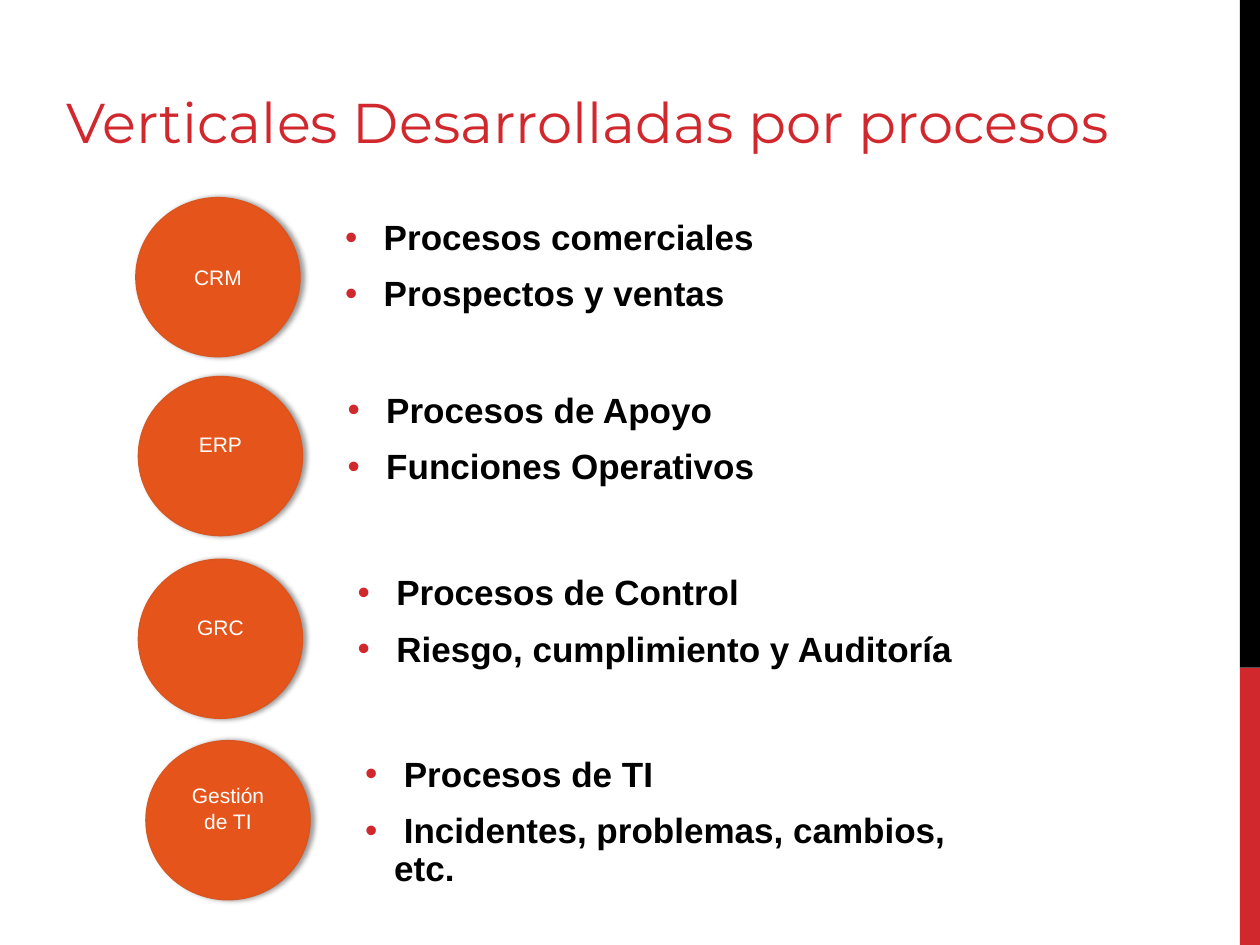
from pptx import Presentation
from pptx.dml.color import RGBColor
from pptx.enum.shapes import MSO_SHAPE
from pptx.enum.text import MSO_ANCHOR, PP_ALIGN
from pptx.oxml import parse_xml
from pptx.oxml.ns import nsdecls, qn
from pptx.util import Inches, Pt

RED = RGBColor(0xD1, 0x28, 0x2E)
BLACK = RGBColor(0x00, 0x00, 0x00)
WHITE = RGBColor(0xFF, 0xFF, 0xFF)
ORANGE = RGBColor(0xE5, 0x55, 0x1B)
RIM = RGBColor(0xDC, 0x55, 0x1F)

LINE_INSET = 0.24
VERTICALS = [
    ("CRM", (1.08, 1.57), (2.64, 1.7, 3.62), 0.05,
     [" Procesos comerciales", " Prospectos y ventas"]),
    ("ERP", (1.1, 2.99), (2.66, 3.07, 3.62), LINE_INSET,
     [" Procesos de Apoyo", " Funciones Operativos"]),
    ("GRC", (1.1, 4.44), (2.74, 4.52, 5.12), LINE_INSET,
     [" Procesos de Control", " Riesgo, cumplimiento y Auditoría"]),
    ("Gestión de TI", (1.16, 5.88), (2.8, 5.96, 5.12), LINE_INSET,
     [" Procesos de TI", " Incidentes, problemas, cambios, etc."]),
]


class SlideBuilder:
    """Draws the elements of one slide in a shared style."""

    def __init__(self, s):
        self.s = s

    def style(self, p, font, size, color, bold=False):
        for r in p.runs:
            r.font.name = font
            r.font.size = Pt(size)
            r.font.bold = bold
            r.font.color.rgb = color

    def bar(self, top, height, color):
        sp = self.s.shapes.add_shape(
            MSO_SHAPE.RECTANGLE, Inches(9.84), Inches(top), Inches(0.16), Inches(height))
        sp.shadow.inherit = False
        sp.fill.solid()
        sp.fill.fore_color.rgb = color
        sp.line.fill.background()

    def title(self, text):
        sp = self.s.shapes.add_textbox(Inches(0.43), Inches(0.21), Inches(8.6), Inches(1.07))
        tf = sp.text_frame
        tf.word_wrap = True
        tf.vertical_anchor = MSO_ANCHOR.BOTTOM
        tf.text = text
        self.style(tf.paragraphs[0], "Montserrat", 32, RED)

    def circle(self, group, text, left, top, bottom_inset):
        sp = group.shapes.add_shape(
            MSO_SHAPE.OVAL, Inches(left), Inches(top), Inches(1.3), Inches(1.26))
        sp.fill.solid()
        sp.fill.fore_color.rgb = ORANGE
        sp.line.color.rgb = RIM
        sp.line.width = Pt(1)
        sp.shadow.inherit = False
        effects = sp._element.spPr.find(qn("a:effectLst"))
        effects.append(parse_xml(
            f'<a:outerShdw {nsdecls("a")} blurRad="{Pt(3.1)}" dist="{Pt(1.8)}" dir="0" '
            'rotWithShape="0"><a:srgbClr val="000000"><a:alpha val="40000"/>'
            '</a:srgbClr></a:outerShdw>'))
        tf = sp.text_frame
        tf.word_wrap = True
        tf.vertical_anchor = MSO_ANCHOR.MIDDLE
        tf.margin_bottom = Inches(bottom_inset)
        tf.text = text
        tf.paragraphs[0].alignment = PP_ALIGN.CENTER
        self.style(tf.paragraphs[0], "Arial", 12, WHITE)

    def bullets(self, group, items, left, top, width):
        sp = group.shapes.add_textbox(Inches(left), Inches(top), Inches(width), Inches(1.1))
        tf = sp.text_frame
        tf.word_wrap = True
        for i, item in enumerate(items):
            p = tf.add_paragraph() if i else tf.paragraphs[0]
            p.text = item
            p.line_spacing = 0.9
            p.space_before = Pt(4.5 if i else 0)
            p.space_after = Pt(6)
            pPr = p._p.get_or_add_pPr()
            pPr.set("marL", str(Inches(0.23)))
            pPr.set("indent", str(Inches(-0.23)))
            for xml in (f'<a:buClr {nsdecls("a")}><a:srgbClr val="{RED}"/></a:buClr>',
                        f'<a:buFont {nsdecls("a")} typeface="Arial"/>',
                        f'<a:buChar {nsdecls("a")} char="•"/>'):
                pPr.append(parse_xml(xml))
            self.style(p, "Arial", 20, BLACK, bold=True)

    def vertical(self, name, circle_at, list_at, bottom_inset, items):
        group = self.s.shapes.add_group_shape()
        self.circle(group, name, *circle_at, bottom_inset)
        self.bullets(group, items, *list_at)


def main():
    prs = Presentation()
    prs.slide_width, prs.slide_height = Inches(10), Inches(7.5)
    builder = SlideBuilder(prs.slides.add_slide(prs.slide_layouts[6]))
    builder.bar(5.3, 2.2, RED)
    builder.bar(0, 5.3, BLACK)
    builder.title("Verticales Desarrolladas por procesos")
    for vertical in VERTICALS:
        builder.vertical(*vertical)
    prs.save("out.pptx")


if __name__ == "__main__":
    main()
